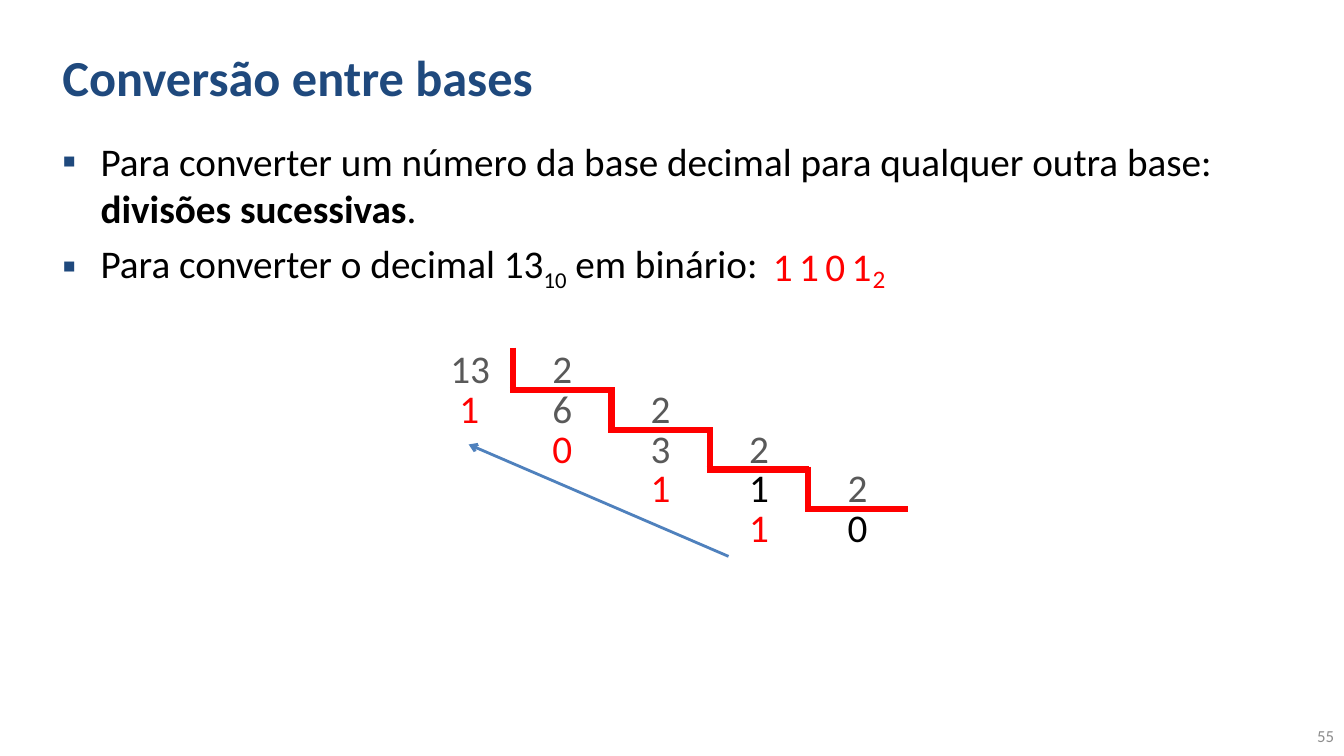
import pptx
import pptx.dml.color
import pptx.enum.shapes
import pptx.enum.text
import pptx.oxml
import pptx.oxml.ns
import pptx.util

Cm, Pt = pptx.util.Cm, pptx.util.Pt
RGBColor = pptx.dml.color.RGBColor
Align = pptx.enum.text.PP_ALIGN
Anchor = pptx.enum.text.MSO_ANCHOR
AutoSize = pptx.enum.text.MSO_AUTO_SIZE

NAVY = RGBColor(0x1F, 0x49, 0x7D)
BLUE = RGBColor(0x4F, 0x81, 0xBD)
RED = RGBColor(0xFF, 0x00, 0x00)
BLACK = RGBColor(0x00, 0x00, 0x00)
GRAY = RGBColor(0x59, 0x59, 0x59)
LIGHT_GRAY = RGBColor(0x8C, 0x8C, 0x8C)

# Division staircase, in centimetres
STEP_X, STEP_Y = 2.48, 1.0
QUOTIENT_LEFT, TOP = 13.67, 8.56
DIGIT_WIDTH, DIGIT_HEIGHT = 1.02, 1.45

BULLETS = [
    [("Para converter um número da base decimal para qualquer outra base: ", {}),
     ("divisões sucessivas", {"bold": True}), (".", {})],
    [("Para converter o decimal 13", {}), ("10", {"baseline": -25000}),
     (" em binário:", {})],
]


def apply(target, values):
    for name, value in values.items():
        setattr(target, name, value)


def add_element(parent, tag, content=""):
    """Append a drawing element given as its tag and attributes."""
    namespace = pptx.oxml.ns.nsdecls("a")
    xml = f"<a:{tag} {namespace}>{content}</a:{tag.split()[0]}>"
    parent.append(pptx.oxml.parse_xml(xml))


def write_span(para, text, size, color, bold=False, baseline=None):
    span = para.add_run()
    span.text = text
    apply(span.font, {"name": "Calibri", "size": Pt(size), "bold": bold})
    span.font.color.rgb = color
    if baseline:
        span._r.get_or_add_rPr().set("baseline", str(baseline))


def place(box, left, top, width, height):
    apply(box, {"left": Cm(left), "top": Cm(top),
                "width": Cm(width), "height": Cm(height)})


def fill_title(box, text):
    place(box, 1.32, 0.33, 26.87, 3.18)
    apply(box.text_frame, {"vertical_anchor": Anchor.MIDDLE,
                           "auto_size": AutoSize.NONE, "word_wrap": True})
    para = box.text_frame.paragraphs[0]
    para.alignment = Align.LEFT
    write_span(para, text, 36, NAVY, bold=True)


def fill_bullets(box, items):
    place(box, 1.32, 3.33, 30.86, 4.24)
    frame = box.text_frame
    apply(frame, {"vertical_anchor": Anchor.TOP,
                  "auto_size": AutoSize.NONE, "word_wrap": True})
    for index, spans in enumerate(items):
        para = frame.add_paragraph() if index else frame.paragraphs[0]
        properties = para._p.get_or_add_pPr()
        properties.set("marL", str(Cm(0.96)))
        properties.set("indent", str(-Cm(0.96)))
        add_element(properties, "buClr", f'<a:srgbClr val="{NAVY}"/>')
        add_element(properties, 'buFont typeface="Calibri"')
        add_element(properties, 'buChar char="▪"')
        para.space_before = Pt(5.6 if index else 0)
        for text, style in spans:
            write_span(para, text, 28, BLACK, **style)


def add_label(page, text, left, top, color, size=28,
              width=DIGIT_WIDTH, height=DIGIT_HEIGHT):
    box = page.shapes.add_textbox(Cm(left), Cm(top), Cm(width), Cm(height))
    apply(box.text_frame, {"word_wrap": False,
                           "auto_size": AutoSize.SHAPE_TO_FIT_TEXT})
    write_span(box.text_frame.paragraphs[0], text, size, color)


def add_line(shapes, start, end, color, width):
    line = shapes.add_connector(pptx.enum.shapes.MSO_CONNECTOR.STRAIGHT,
                                *(Cm(value) for value in start + end))
    line.line.color.rgb = color
    line.line.width = Pt(width)
    add_element(line._element.spPr, "effectLst")
    return line


def add_division(page, index, quotient, remainder, quotient_color):
    """Draw one corner with its divisor, quotient and remainder."""
    dx, dy = index * STEP_X, index * STEP_Y
    corner = page.shapes.add_group_shape().shapes
    add_line(corner, (12.93 + dx, 8.76 + dy), (12.93 + dx, 9.76 + dy), RED, 4.5)
    add_line(corner, (12.85 + dx, 9.83 + dy), (15.44 + dx, 9.83 + dy), RED, 4.5)
    left, top = QUOTIENT_LEFT + dx, TOP + dy
    remainder_left = left - STEP_X if index else 11.33
    add_label(page, "2", left, top, GRAY)
    add_label(page, quotient, left, top + STEP_Y, quotient_color)
    add_label(page, remainder, remainder_left, top + STEP_Y, RED)


def add_page_number(page, number):
    box = page.shapes.add_textbox(Cm(27.94), Cm(18.03), Cm(5.93), Cm(1.02))
    apply(box.text_frame, {"word_wrap": True, "vertical_anchor": Anchor.MIDDLE})
    para = box.text_frame.paragraphs[0]
    para.alignment = Align.RIGHT
    write_span(para, number, 12, LIGHT_GRAY)


def main():
    deck = pptx.Presentation()
    deck.slide_width, deck.slide_height = Cm(33.87), Cm(19.05)
    page = deck.slides.add_slide(deck.slide_layouts[1])

    # Title, list and page number
    fill_title(page.shapes.title, "Conversão entre bases")
    fill_bullets(page.placeholders[1], BULLETS)
    add_page_number(page, "55")

    # Successive divisions
    add_label(page, "13", 11.1, TOP, GRAY, width=1.52)
    divisions = [("6", "1", GRAY), ("3", "0", GRAY),
                 ("1", "1", BLACK), ("0", "1", BLACK)]
    for index, division in enumerate(divisions):
        add_division(page, index, *division)

    # Reading direction of the remainders
    arrow = add_line(page.shapes, (18.36, 14.02), (11.81, 11.2), BLUE, 2)
    add_element(arrow.line._get_or_add_ln(), 'tailEnd type="arrow"')

    # Binary result
    for index, digit in enumerate("1101"):
        add_label(page, digit, 19.23 + index * 0.66, 5.97, RED)
    add_label(page, "2", 21.74, 6.5, RED, size=18, width=0.84, height=1.02)

    deck.save("out.pptx")


if __name__ == "__main__":
    main()
